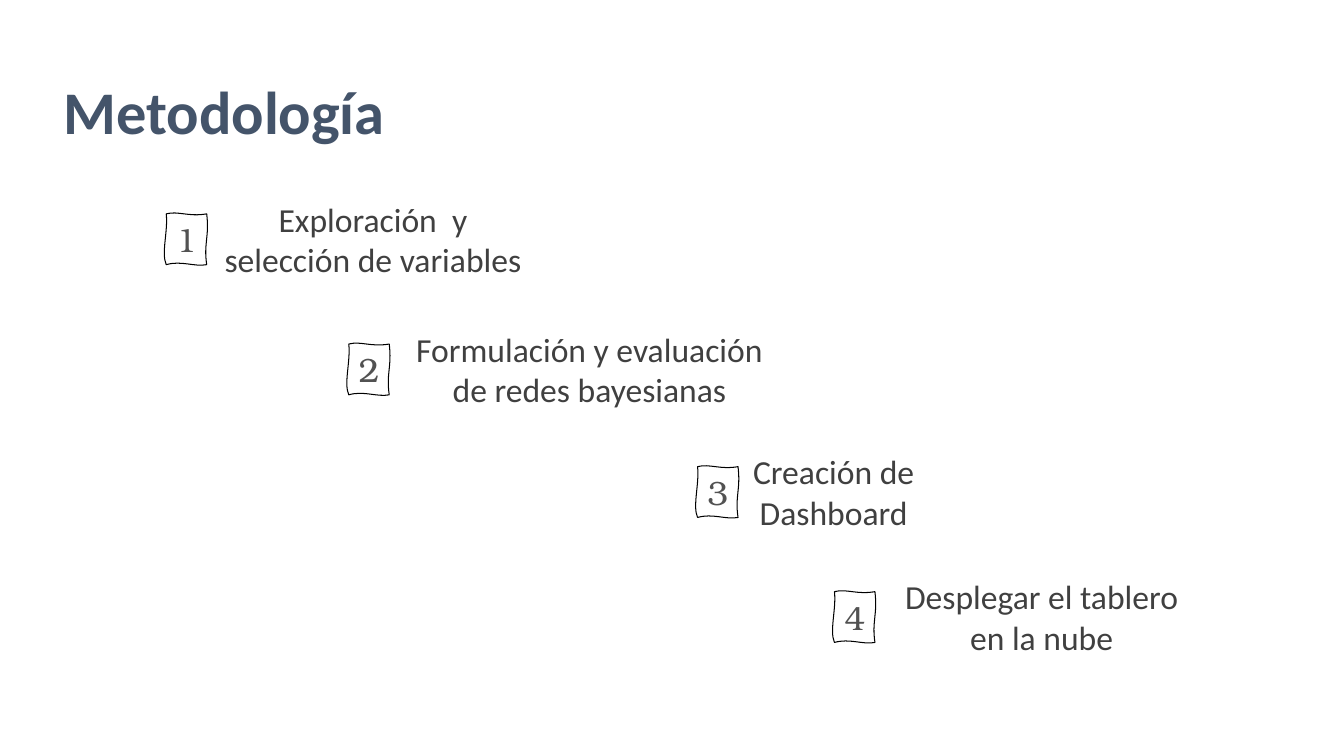
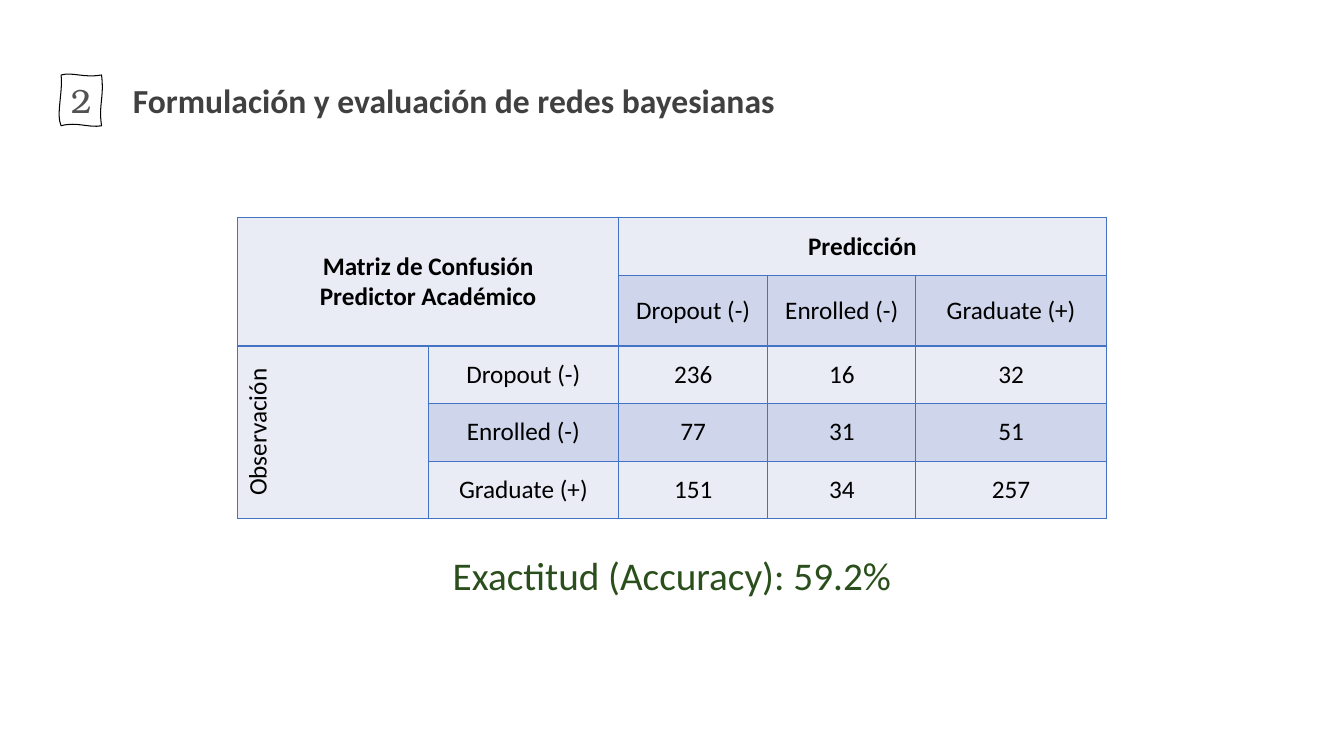
from dataclasses import dataclass
from typing import NamedTuple

from lxml import etree
from pptx import Presentation, util as u
from pptx.dml import color
from pptx.enum import text
from pptx.oxml import ns


@dataclass(frozen=True)
class Theme:
    body_font: str = "Calibri"
    number_font: str = "TeX Gyre Bonum"
    title_ink: str = "44546A"
    body_ink: str = "404040"
    number_ink: str = "525252"
    result_ink: str = "2A4F1C"
    black: str = "000000"
    grid_line: str = "4472C4"
    pale_row: str = "E9EBF5"
    dark_row: str = "CFD5EA"
    title_size: float = 43.2
    result_size: float = 28
    body_size: float = 24
    table_size: float = 18
    outline: float = 0.75
    grid_width: float = 1


class Box(NamedTuple):
    left: float
    top: float
    width: float
    height: float


class Style(NamedTuple):
    size: float
    ink: str
    font: str
    bold: bool = False


class Step(NamedTuple):
    caption: str
    caption_left: float
    caption_width: float
    badge_left: float
    top: float


class Merge(NamedTuple):
    first: tuple[int, int]
    last: tuple[int, int]


THEME = Theme()
TITLE = Style(THEME.title_size, THEME.title_ink, THEME.body_font, True)
BODY = Style(THEME.body_size, THEME.body_ink, THEME.body_font)
NUMBER = Style(THEME.body_size, THEME.number_ink, THEME.number_font)
RESULT = Style(THEME.result_size, THEME.result_ink, THEME.body_font)
CELL = Style(THEME.table_size, THEME.black, THEME.body_font)

LEFT, CENTER = text.PP_ALIGN.LEFT, text.PP_ALIGN.CENTER
TOP, MIDDLE, BOTTOM = (
    text.MSO_ANCHOR.TOP, text.MSO_ANCHOR.MIDDLE, text.MSO_ANCHOR.BOTTOM)

CAPTION_HEIGHT = 2.31
BADGE_DROP = 0.51
BADGE_CORNERS = [(1.02, 0), (1.02, 1.28), (0, 1.28)]
BADGE_CURVES = [
    ((0.3, -0.08), (0.56, 0.08), (1.02, 0)),
    ((1.09, 0.58), (0.94, 0.74), (1.02, 1.28)),
    ((0.71, 1.34), (0.38, 1.17), (0, 1.28)),
    ((-0.13, 0.99), (0.05, 0.43), (0, 0)),
]

STEPS = [
    Step("Exploración  y selección de variables", 5.21, 8.38, 4.19, 4.88),
    Step("Formulación y evaluación de redes bayesianas", 10.18, 9.35, 8.79, 8.16),
    Step("Creación de Dashboard", 16.82, 8.38, 17.58, 11.25),
    Step("Desplegar el tablero en la nube", 22.3, 7.9, 21.03, 14.4),
]

CLASSES = ["Dropout (-)", "Enrolled (-)", "Graduate (+)"]
COUNTS = [[236, 16, 32], [77, 31, 51], [151, 34, 257]]
MATRIX = [
    ["Matriz de Confusión\nPredictor Académico", "", "Predicción", "", ""],
    ["", "", *CLASSES],
    *[["", observed, *map(str, counts)] for observed, counts in zip(CLASSES, COUNTS)],
]
MATRIX[2][0] = "Observación"
MERGES = [Merge((0, 0), (1, 1)), Merge((0, 2), (0, 4)), Merge((2, 0), (4, 0))]
COLUMN_WIDTHS = [4.8, 4.8, 3.76, 3.73, 4.8]
ROW_HEIGHTS = [1.45, 1.42, 1.45, 1.45, 1.45]


def rgb(value: str) -> color.RGBColor:
    return color.RGBColor.from_string(value)


def write(paragraph, words: str, style: Style, align) -> None:
    paragraph.text = words
    paragraph.alignment = align
    formats = {"size": u.Pt(style.size), "name": style.font, "bold": style.bold}
    for run in paragraph.runs:
        for attribute, value in formats.items():
            setattr(run.font, attribute, value)
        run.font.color.rgb = rgb(style.ink)


def add_label(slide, box: Box, words: str, style: Style, align=LEFT, anchor=TOP):
    frame = slide.shapes.add_textbox(*map(u.Cm, box)).text_frame
    formats = {"word_wrap": True, "vertical_anchor": anchor}
    for attribute, value in formats.items():
        setattr(frame, attribute, value)
    write(frame.paragraphs[0], words, style, align)
    return frame


def bend_edges(badge) -> None:
    outline = next(badge._element.iter(ns.qn("a:path")))
    for edge in outline.findall(ns.qn("a:lnTo")):
        outline.remove(edge)
    close = outline.find(ns.qn("a:close"))
    for curve in BADGE_CURVES:
        bend = etree.SubElement(outline, ns.qn("a:cubicBezTo"))
        close.addprevious(bend)
        for x, y in curve:
            etree.SubElement(bend, ns.qn("a:pt"), x=str(u.Cm(x)), y=str(u.Cm(y)))


def add_badge(slide, left: float, top: float, number: int) -> None:
    builder = slide.shapes.build_freeform(u.Cm(left), u.Cm(top))
    corners = [(u.Cm(left + x), u.Cm(top + y)) for x, y in BADGE_CORNERS]
    builder.add_line_segments(corners, close=True)
    badge = builder.convert_to_shape()
    bend_edges(badge)
    badge.shadow.inherit = False
    badge.fill.background()
    badge.line.color.rgb = rgb(THEME.black)
    badge.line.width = u.Pt(THEME.outline)
    formats = {"word_wrap": False, "vertical_anchor": MIDDLE}
    for attribute, value in formats.items():
        setattr(badge.text_frame, attribute, value)
    write(badge.text_frame.paragraphs[0], str(number), NUMBER, CENTER)


def add_borders(cell) -> None:
    properties = cell._tc.get_or_add_tcPr()
    for side in ("a:lnL", "a:lnR", "a:lnT", "a:lnB"):
        line = etree.SubElement(
            properties, ns.qn(side), w=str(u.Pt(THEME.grid_width)))
        fill = etree.SubElement(line, ns.qn("a:solidFill"))
        etree.SubElement(fill, ns.qn("a:srgbClr"), val=THEME.grid_line)


def add_matrix(slide, left: float, top: float) -> None:
    box = Box(left, top, sum(COLUMN_WIDTHS), sum(ROW_HEIGHTS))
    matrix = slide.shapes.add_table(
        len(MATRIX), len(COLUMN_WIDTHS), *map(u.Cm, box)).table
    for attribute in ("first_row", "horz_banding"):
        setattr(matrix, attribute, False)
    for column, width in zip(matrix.columns, COLUMN_WIDTHS):
        column.width = u.Cm(width)
    for row, height in zip(matrix.rows, ROW_HEIGHTS):
        row.height = u.Cm(height)
    for r, row_words in enumerate(MATRIX):
        for c, words in enumerate(row_words):
            cell = matrix.cell(r, c)
            add_borders(cell)
            cell.fill.solid()
            banded = r % 2 == 1 and c > 0
            cell.fill.fore_color.rgb = rgb(THEME.dark_row if banded else THEME.pale_row)
            cell.vertical_anchor = MIDDLE
            write(cell.text_frame.paragraphs[0], words, CELL._replace(bold=r == 0), CENTER)
    for merge in MERGES:
        matrix.cell(*merge.first).merge(matrix.cell(*merge.last))
    matrix.cell(2, 0)._tc.get_or_add_tcPr().set("vert", "vert270")


def build_methodology(slide) -> None:
    title = add_label(slide, Box(1.35, 1.83, 25.4, 2.01), "Metodología", TITLE,
                      anchor=BOTTOM)
    title.paragraphs[0].line_spacing = 0.9
    for step in STEPS:
        caption = Box(step.caption_left, step.top, step.caption_width, CAPTION_HEIGHT)
        add_label(slide, caption, step.caption, BODY, CENTER)
    for number, step in enumerate(STEPS, 1):
        add_badge(slide, step.badge_left, step.top + BADGE_DROP, number)


def build_evaluation(slide) -> None:
    add_badge(slide, 1.54, 1.89, 2)
    add_matrix(slide, 5.99, 5.49)
    add_label(slide, Box(8.47, 13.77, 16.92, 1.45), "Exactitud (Accuracy): 59.2%",
              RESULT, CENTER)
    add_label(slide, Box(3.1, 1.88, 18.47, 1.27), STEPS[1].caption,
              BODY._replace(bold=True))


def main() -> None:
    deck = Presentation()
    deck.slide_width, deck.slide_height = u.Cm(33.87), u.Cm(19.05)
    blank = deck.slide_layouts[6]
    for build in (build_methodology, build_evaluation):
        build(deck.slides.add_slide(blank))
    deck.save("out.pptx")


if __name__ == "__main__":
    main()
